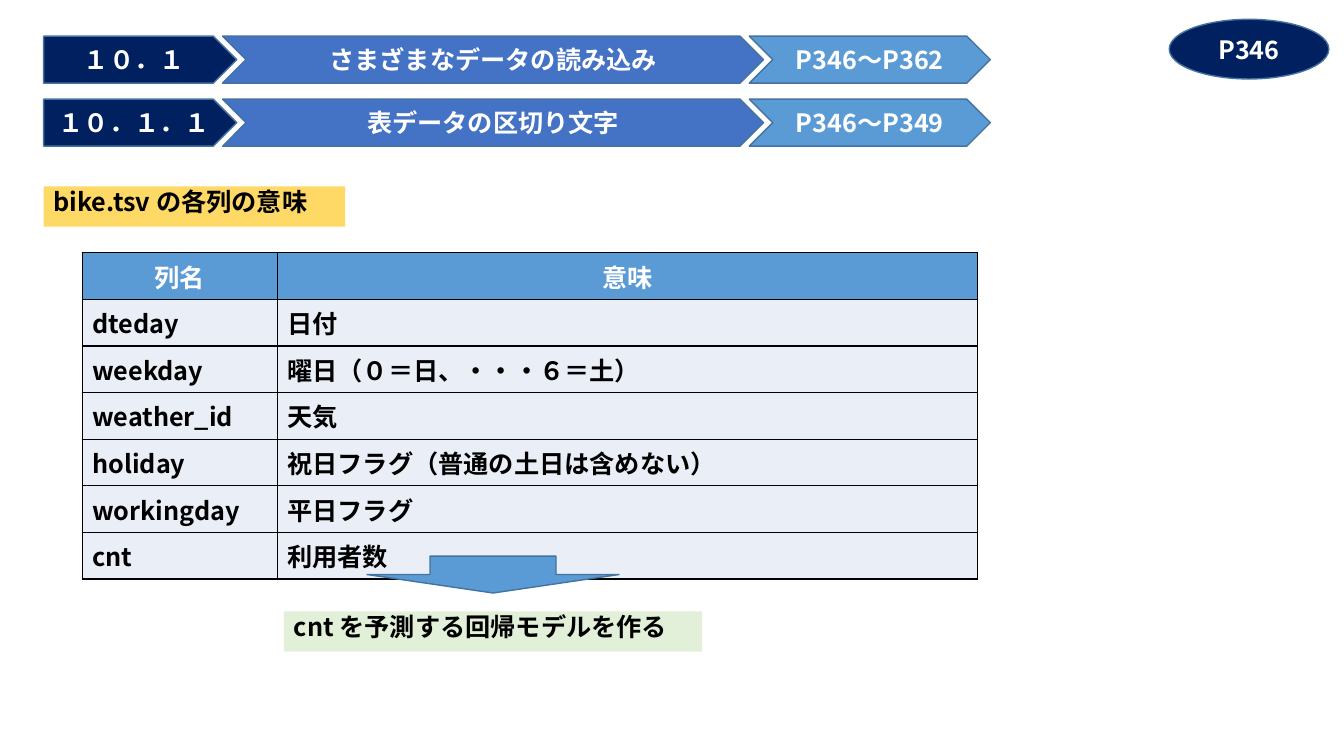
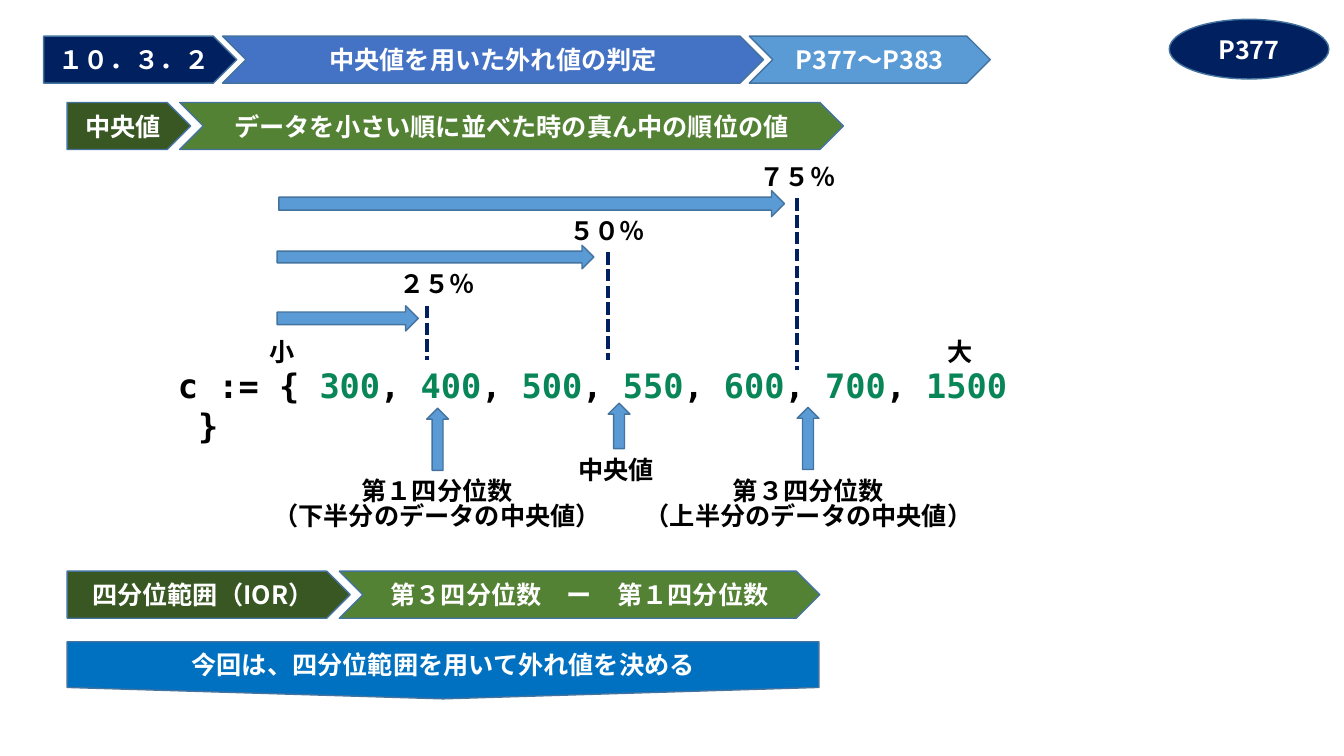
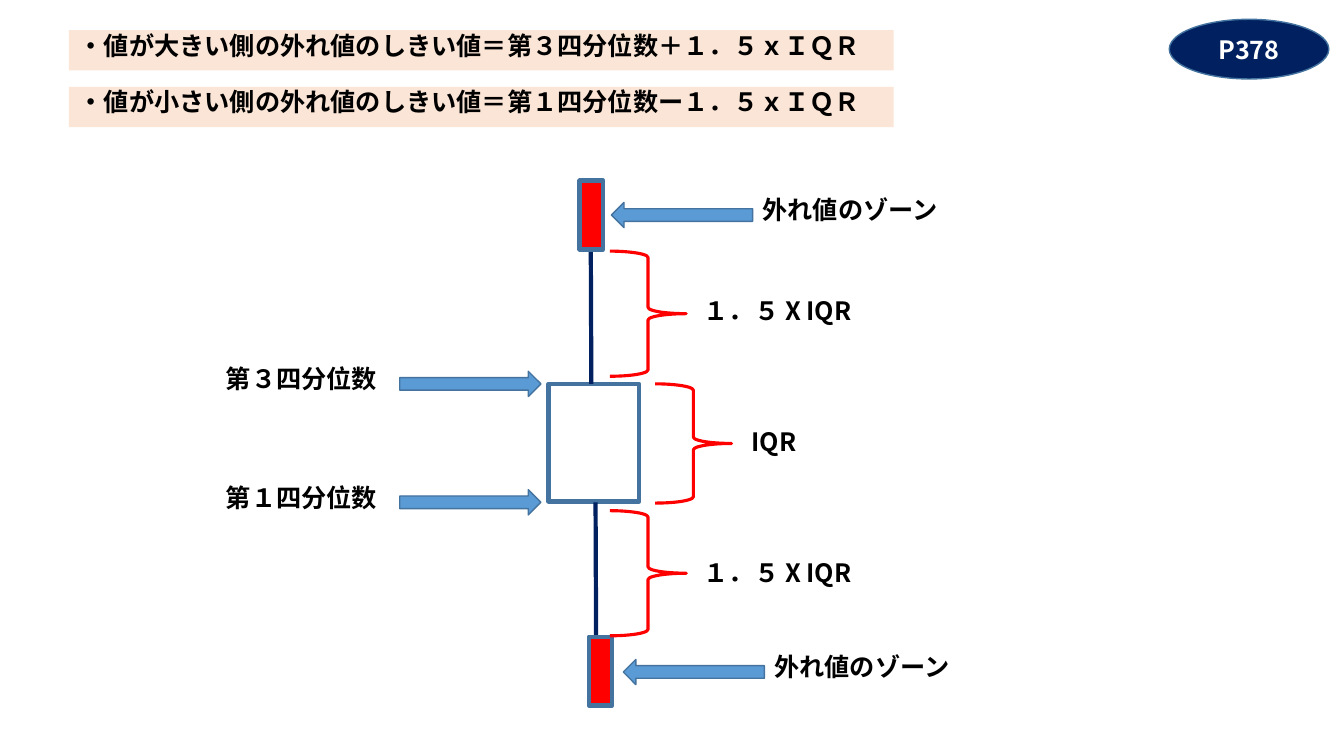
from dataclasses import dataclass
from pptx import Presentation
from pptx.dml.color import RGBColor as Rgb
from pptx.enum.dml import MSO_LINE as Dash
from pptx.enum.shapes import MSO_CONNECTOR as Conn, MSO_SHAPE as Form
from pptx.enum.text import MSO_ANCHOR as Anchor, MSO_AUTO_SIZE as Fit, PP_ALIGN as Align
from pptx.oxml import parse_xml
from pptx.oxml.ns import nsdecls, qn
from pptx.util import Pt

UNIT = 76200  # one cell of a grid of 160 columns by 90 rows


@dataclass(frozen=True)
class Theme:
    font: str = "Noto Sans CJK JP"
    mono: str = "DejaVu Sans Mono"
    size: int = 18
    large: int = 24
    tight: float = 0.83
    thin: float = 1
    brace: float = 2.25
    thick: float = 3
    black: str = "000000"
    white: str = "FFFFFF"
    navy: str = "002060"
    blue: str = "4472C4"
    sky: str = "5B9BD5"
    edge: str = "43739E"
    pale: str = "EAEFF7"
    azure: str = "0070C0"
    forest: str = "385723"
    green: str = "548235"
    mint: str = "E2F0D9"
    gold: str = "FFD966"
    peach: str = "FBE5D6"
    red: str = "FF0000"
    digit: str = "098658"


T = Theme()
BANNER = (T.navy, T.blue, T.sky)
TERM = (T.forest, T.green)


def grid(*cells):
    return [round(cell * UNIT) for cell in cells]


def paint(fill, color):
    if color:
        fill.solid()
        fill.fore_color.rgb = Rgb.from_string(color)
    else:
        fill.background()


def write(frame, text, color=T.black, size=T.size, font=T.font,
          align=Align.LEFT, space=None):
    """Fill a frame; text is a string or a list of (string, color) runs."""
    runs = [(text, color)] if isinstance(text, str) else text
    para = frame.paragraphs[0]
    for i, (part, tint) in enumerate(runs):
        for j, line in enumerate(part.split("\n")):
            if j:
                para = frame.add_paragraph()
            para.alignment = align
            if space:
                para.line_spacing = space
            run = para.add_run()
            run.text = line
            run.font.size, run.font.bold, run.font.name = Pt(size), True, font
            run.font.color.rgb = Rgb.from_string(tint)
            east = run._r.get_or_add_rPr().makeelement(qn("a:ea"), {"typeface": font})
            run._r.rPr.find(qn("a:latin")).addnext(east)


class Deck:
    def __init__(self):
        self.prs = Presentation()
        self.prs.slide_width, self.prs.slide_height = grid(160, 90)

    def page(self, mark):
        """Start a slide with its page mark in the corner."""
        self.slide = self.prs.slides.add_slide(self.prs.slide_layouts[6])
        self.shape(Form.OVAL, 139.2, 2.3, 19, 7.1, T.navy, mark)

    def shape(self, form, x, y, w, h, fill=T.sky, text="", edge=T.edge, width=T.thin):
        item = self.slide.shapes.add_shape(form, *grid(x, y, w, h))
        item.shadow.inherit = False
        paint(item.fill, fill)
        paint(item.line.fill, edge)
        item.line.width = Pt(width)
        if text:
            item.text_frame.vertical_anchor = Anchor.MIDDLE
            write(item.text_frame, text, T.white, align=Align.CENTER)

    def chain(self, x, y, lap, parts, fills):
        """Row of a pentagon and chevrons, each overlapping the last."""
        form = Form.PENTAGON
        for (text, w), fill in zip(parts, fills):
            self.shape(form, x, y, w, 5.6, fill, text)
            x += w - lap
            form = Form.CHEVRON

    def banner(self, row, *texts):
        self.chain(5.2, 4.3 + 7.5 * row, 1.7, zip(texts, (23, 64.4, 28.7)), BANNER)

    def label(self, text, x, y, w, h=4.8, fill=None, **style):
        box = self.slide.shapes.add_textbox(*grid(x, y, w, h))
        paint(box.fill, fill)
        box.text_frame.word_wrap = True
        box.text_frame.auto_size = Fit.SHAPE_TO_FIT_TEXT
        write(box.text_frame, text, **{"space": T.tight, **style})

    def line(self, x, y, x2, y2, dash=None):
        item = self.slide.shapes.add_connector(Conn.STRAIGHT, *grid(x, y, x2, y2))
        item.line.color.rgb = Rgb.from_string(T.navy)
        item.line.width = Pt(T.thick)
        if dash:
            item.line.dash_style = dash
        item._element.spPr.append(parse_xml(f"<a:effectLst {nsdecls('a')}/>"))

    def table(self, rows, x, y, cols, high):
        table = self.slide.shapes.add_table(
            len(rows), len(cols), *grid(x, y, sum(cols), high * len(rows))).table
        for col, w in zip(table.columns, grid(*cols)):
            col.width = w
        for r, row in enumerate(rows):
            head = r == 0
            for c, text in enumerate(row):
                cell = table.cell(r, c)
                for side in "LRTB":
                    cell._tc.get_or_add_tcPr().append(parse_xml(
                        f'<a:ln{side} {nsdecls("a")} w="{Pt(T.thin)}"><a:solidFill>'
                        f'<a:srgbClr val="{T.black}"/></a:solidFill></a:ln{side}>'))
                paint(cell.fill, T.sky if head else T.pale)
                write(cell.text_frame, text, T.white if head else T.black,
                      align=Align.CENTER if head else Align.LEFT)


def columns(deck):
    deck.page("P346")
    deck.table([
        ("列名", "意味"),
        ("dteday", "日付"),
        ("weekday", "曜日（０＝日、・・・６＝土）"),
        ("weather_id", "天気"),
        ("holiday", "祝日フラグ（普通の土日は含めない）"),
        ("workingday", "平日フラグ"),
        ("cnt", "利用者数"),
    ], 9.8, 30.1, (23.2, 83.4), 4.87)
    deck.banner(0, "１０．１", "さまざまなデータの読み込み", "P346～P362")
    deck.banner(1, "１０．１．１", "表データの区切り文字", "P346～P349")
    deck.label("bike.tsv の各列の意味", 5.2, 22.2, 35.9, fill=T.gold)
    deck.shape(Form.DOWN_ARROW, 43.7, 66.2, 30, 4.4)
    deck.label("cnt を予測する回帰モデルを作る", 33.8, 72.8, 49.8, fill=T.mint)


def median(deck):
    deck.page("P377")
    deck.banner(0, "１０．３．２", "中央値を用いた外れ値の判定", "P377～P383")
    deck.chain(8, 12.2, 1.3, [
        ("中央値", 14.7), ("データを小さい順に並べた時の真ん中の順位の値", 79)], TERM)

    # Sorted values, held together by no-break spaces
    runs = [("c := { ", T.black)]
    for value in (300, 400, 500, 550, 600, 700, 1500):
        runs += [(str(value), T.digit), (", ", T.black)]
    runs[-1] = (" }", T.black)
    runs = [(part.replace(" ", chr(160)), tint) for part, tint in runs]
    deck.label(runs, 20, 42.8, 101.2, 6, size=T.large, font=T.mono, space=None)

    # Notes under the values: text, left, top, width, arrow left, top, height
    mid = Align.CENTER
    for text, x, y, w, ax, ay, high in (
            ("第１四分位数\n（下半分のデータの中央値）", 30.7, 56.6, 42.7, 50.8, 48.6, 7.4),
            ("第３四分位数\n（上半分のデータの中央値）", 74.9, 56.6, 42.7, 94.9, 48.5, 7.4),
            ("中央値", 63.1, 54.1, 20.5, 72.4, 48, 5.4)):
        deck.label(text, x, y, w, align=mid)
        deck.shape(Form.UP_ARROW, ax, ay, 2.6, high)

    # Shares above the values: text, left, dash x, top, end, arrow box
    for text, x, dx, top, end, arrow in (
            ("２５％", 41.8, 50.8, 36.4, 42.8, (33, 36.4, 16.8, 3)),
            ("５０％", 62, 72.4, 30, 42.8, (33, 29.2, 37.7, 2.8)),
            ("７５％", 84.7, 94.9, 23.6, 44, (33.2, 22.7, 60.2, 3.1))):
        deck.line(dx, top, dx, end, Dash.SQUARE_DOT)
        deck.label(text, x, top - 4.4, 20.5, align=mid)
        deck.shape(Form.RIGHT_ARROW, *arrow)
    for text, x in (("小", 23.3), ("大", 104)):
        deck.label(text, x, 40, 20.5, align=mid)

    # Range and closing line
    deck.chain(8, 68, 1.3, [
        ("四分位範囲（IOR）", 33.7), ("第３四分位数　ー　第１四分位数", 57.2)], TERM)
    deck.shape(Form.FLOWCHART_OFFPAGE_CONNECTOR, 8, 76.4, 89.5, 6.8, T.azure,
               "今回は、四分位範囲を用いて外れ値を決める")


def limits(deck):
    deck.page("P378")
    for i, text in enumerate((
            "・値が大きい側の外れ値のしきい値＝第３四分位数＋１．５ｘＩＱＲ",
            "・値が小さい側の外れ値のしきい値＝第１四分位数ー１．５ｘＩＱＲ")):
        deck.label(text, 8.2, 3.6 + 6.75 * i, 98.2, fill=T.peach)

    # Box, whiskers and outlier zones
    deck.shape(Form.RECTANGLE, 65.3, 45.7, 10.8, 14, None, width=T.thick)
    for x, top, zx, zy in ((70.3, 21.5, 69, 21.5), (70.9, 59.8, 70.1, 75.8)):
        deck.line(x, top, x + 0.1, top + 24.2)
        deck.shape(Form.RECTANGLE, zx, zy, 2.8, 8.2, T.red, width=T.thick)

    # Arrows with names
    for text, y in (("第３四分位数", 44.2), ("第１四分位数", 58.3)):
        deck.shape(Form.RIGHT_ARROW, 47.6, y, 16.8, 3)
        deck.label(text, 25.7, y - 0.9, 23.2)
    for x, y in ((72.8, 24.1), (74.2, 78.5)):
        deck.shape(Form.LEFT_ARROW, x, y, 16.8, 3)
        deck.label("外れ値のゾーン", x + 16.8, y - 0.95, 28.6)

    # Braces with spans
    for text, x, y, high, tx, ty in (
            ("１．５ X IQR", 72.6, 29.9, 14.9, 82.6, 35.2),
            ("１．５ X IQR", 72.6, 60.8, 14.9, 82.6, 66.4),
            ("IQR", 78, 45.7, 14.2, 88.3, 50.8)):
        deck.shape(Form.RIGHT_BRACE, x, y, 9.1, high, None, edge=T.red, width=T.brace)
        deck.label(text, tx, ty, 23.2)


def main():
    deck = Deck()
    for build in (columns, median, limits):
        build(deck)
    deck.prs.save("out.pptx")


if __name__ == "__main__":
    main()
